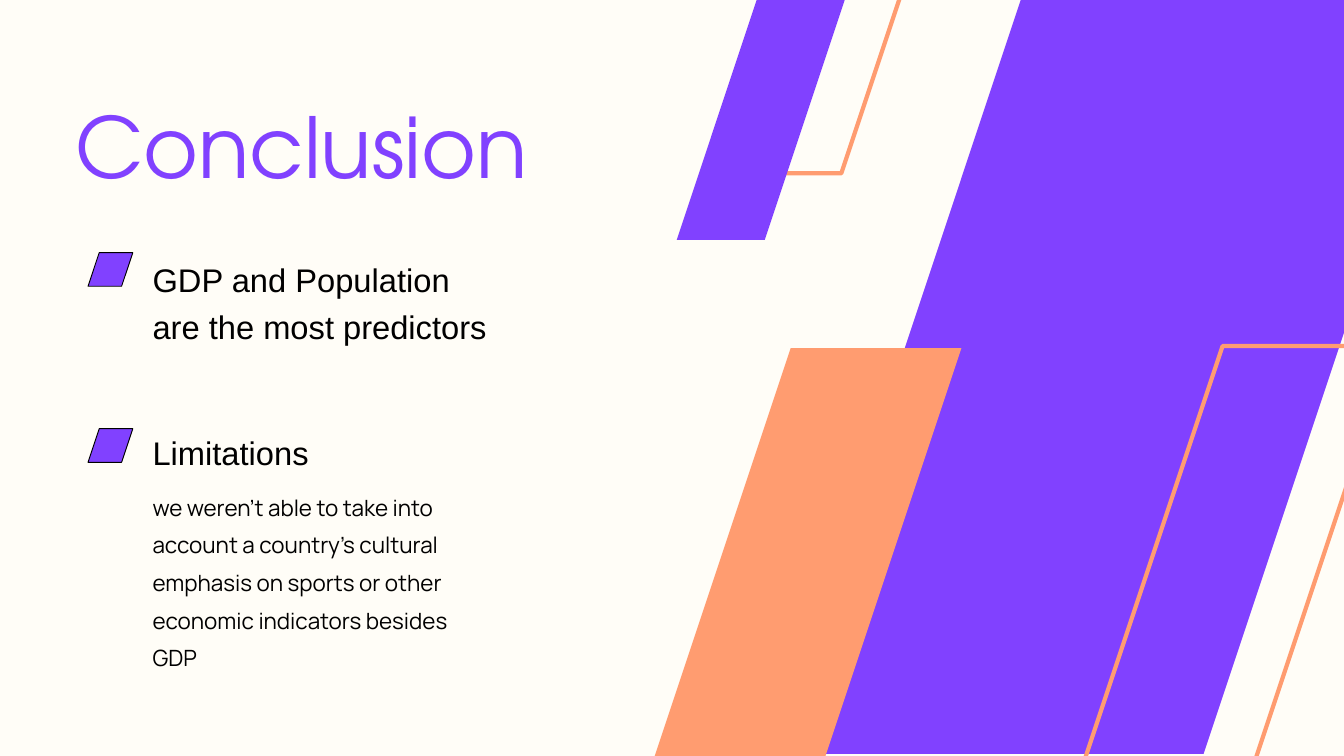
from dataclasses import dataclass

from lxml.etree import SubElement
from pptx import Presentation
from pptx.dml.color import RGBColor
from pptx.enum.shapes import MSO_SHAPE as Preset
from pptx.enum.text import MSO_ANCHOR as Anchor, MSO_AUTO_SIZE as AutoSize, PP_ALIGN as Align
from pptx.oxml.ns import qn
from pptx.util import Inches, Pt


@dataclass(frozen=True)
class Theme:
    """Colours, fonts and type sizes of the slide."""
    cream: RGBColor = RGBColor.from_string("FFFDF7")
    violet: RGBColor = RGBColor.from_string("8141FF")
    coral: RGBColor = RGBColor.from_string("FF9C70")
    black: RGBColor = RGBColor.from_string("000000")
    title_font: str = "TeX Gyre Adventor"
    heading_font: str = "Arial"
    body_font: str = "Manrope"
    title_size: int = 90
    heading_size: int = 35
    body_size: int = 24
    outline: float = 4.5


class SlideBuilder:
    """Adds styled elements to one slide."""

    def __init__(self, slide, theme):
        """Keep the slide and theme, and paint the background."""
        self.slide, self.theme = slide, theme
        slide.background.fill.solid()
        slide.background.fill.fore_color.rgb = theme.cream

    def slanted_bar(self, left, top, base, height, fill=None, line=None, line_width=1):
        """Add a parallelogram that leans right by a third of its height."""
        slant = height / 3
        width = base + slant
        shape = self.slide.shapes.add_shape(
            Preset.PARALLELOGRAM, Inches(left), Inches(top), Inches(width), Inches(height))
        shape.adjustments[0] = slant / min(width, height)
        shape.shadow.inherit = False
        if fill is None:
            shape.fill.background()
        else:
            shape.fill.solid()
            shape.fill.fore_color.rgb = fill
        if line is None:
            shape.line.fill.background()
        else:
            shape.line.color.rgb = line
            shape.line.width = Pt(line_width)

    def text(self, index, content, left, top, width, height, font, size, color, spacing):
        """Place and format the placeholder with the given index."""
        shape = self.slide.placeholders[index]
        shape.left, shape.top = Inches(left), Inches(top)
        shape.width, shape.height = Inches(width), Inches(height)
        frame = shape.text_frame
        frame.text = content
        frame.word_wrap = True
        frame.auto_size = AutoSize.NONE
        frame.vertical_anchor = Anchor.TOP
        frame.margin_left = frame.margin_right = frame.margin_top = frame.margin_bottom = 0
        paragraph = frame.paragraphs[0]
        paragraph.alignment = Align.LEFT
        paragraph.line_spacing = spacing
        paragraph.space_before = Pt(0)
        paragraph.font.name, paragraph.font.size = font, Pt(size)
        paragraph.font.bold = False
        paragraph.font.color.rgb = color
        properties = paragraph._p.get_or_add_pPr()
        properties.set("marL", "0")
        properties.set("indent", "0")
        bullet = SubElement(properties, qn("a:buNone"))
        properties.find(qn("a:defRPr")).addprevious(bullet)

    def title(self, content, *box):
        """Fill the title placeholder."""
        theme = self.theme
        self.text(0, content, *box, theme.title_font, theme.title_size, theme.violet, 1.2)

    def heading(self, index, content, *box):
        """Fill a heading placeholder."""
        theme = self.theme
        self.text(index, content, *box, theme.heading_font, theme.heading_size, theme.black, 1.2)

    def body(self, index, content, *box):
        """Fill a body placeholder."""
        theme = self.theme
        self.text(index, content, *box, theme.body_font, theme.body_size, theme.black, 1.4)

    def remove_placeholder(self, index):
        """Remove an unused placeholder."""
        element = self.slide.placeholders[index]._element
        element.getparent().remove(element)


def main():
    """Build and save the conclusion slide."""
    theme = Theme()
    presentation = Presentation()
    presentation.slide_width, presentation.slide_height = Inches(20), Inches(11.25)
    comparison_layout = presentation.slide_layouts[4]
    builder = SlideBuilder(presentation.slides.add_slide(comparison_layout), theme)

    builder.slanted_bar(11.45, -0.03, 6.46, 11.25, fill=theme.violet)
    builder.slanted_bar(9.33, 5.18, 2.54, 7.31, fill=theme.coral)
    builder.slanted_bar(15.75, 5.15, 2.54, 7.33, line=theme.coral, line_width=theme.outline)
    builder.slanted_bar(11.21, -1.22, 1.31, 3.8, line=theme.coral, line_width=theme.outline)
    builder.slanted_bar(10.07, -0.23, 1.31, 3.8, fill=theme.violet)
    for marker_top in (3.76, 6.38):
        builder.slanted_bar(1.31, marker_top, 0.5, 0.5, fill=theme.violet, line=theme.black)

    builder.title("Conclusion", 1.12, 1.11, 8, 1.52)
    text_left, text_width = 2.27, 5.01
    builder.heading(1, "GDP and Population are the most predictors",
                    text_left, 3.75, text_width, 1.3)
    builder.heading(3, "Limitations", text_left, 6.33, text_width, 0.59)
    builder.body(4, "we weren’t able to take into account a country’s cultural emphasis "
                    "on sports or other economic indicators besides GDP",
                 text_left, 7.19, text_width, 2.67)
    builder.remove_placeholder(2)

    presentation.save("out.pptx")


if __name__ == "__main__":
    main()
